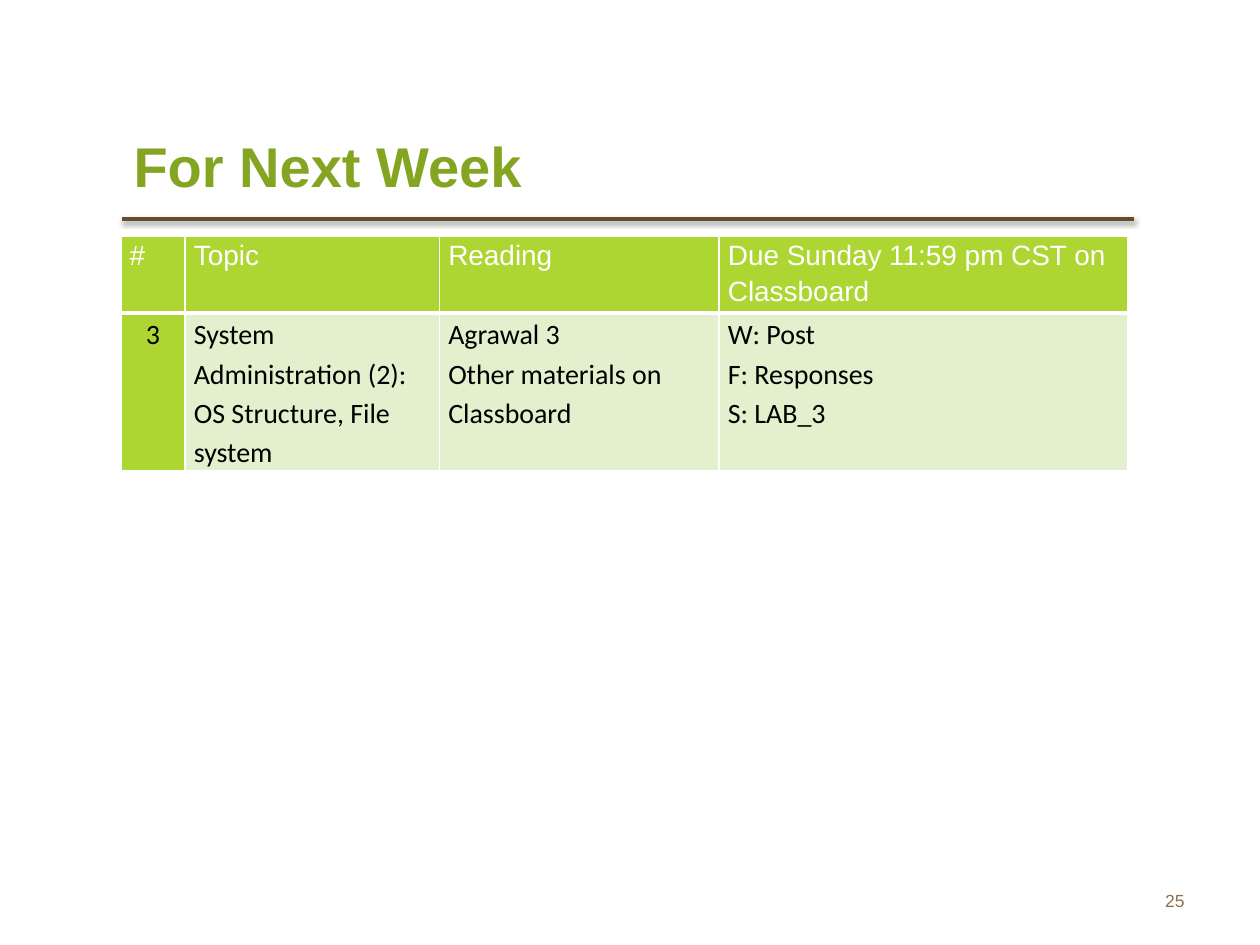
from dataclasses import dataclass

from lxml.etree import SubElement
from pptx import Presentation
from pptx.dml.color import RGBColor
from pptx.enum.shapes import MSO_CONNECTOR
from pptx.enum.text import MSO_ANCHOR as Anchor, PP_ALIGN as Align
from pptx.oxml import parse_xml
from pptx.oxml.ns import nsdecls, qn
from pptx.util import Pt

TITLE_GREEN = RGBColor(0x84, 0xA5, 0x21)
HEADER_GREEN = RGBColor(0xAD, 0xD6, 0x32)
PALE_GREEN = RGBColor(0xE3, 0xF0, 0xCE)
RULE_BROWN = RGBColor(0x63, 0x4D, 0x2A)
NUMBER_BROWN = RGBColor(0x8F, 0x6F, 0x52)
WHITE = RGBColor(0xFF, 0xFF, 0xFF)
BLACK = RGBColor(0, 0, 0)

COLUMN_WIDTHS = (36.7, 145.4, 159.8, 233.3)
ROW_HEIGHTS = (40.6, 90)


@dataclass
class CellSpec:
    text: str
    fill: RGBColor = PALE_GREEN
    color: RGBColor = BLACK
    font: str = "Calibri"
    align: Align = Align.LEFT
    bottom: float = 1


def header(text: str) -> CellSpec:
    return CellSpec(text, HEADER_GREEN, WHITE, "Arial", bottom=3)


ROWS = (
    [header(text) for text in
     ("#", "Topic", "Reading", "Due Sunday 11:59 pm CST on Classboard")],
    [CellSpec("3", HEADER_GREEN, align=Align.CENTER),
     CellSpec("System Administration (2): OS Structure, File system"),
     CellSpec("Agrawal 3\nOther materials on Classboard"),
     CellSpec("W: Post\nF: Responses\nS: LAB_3")],
)


def format_text(p, font: str, size: float, color: RGBColor,
                align: Align = Align.LEFT, bold: bool = False) -> None:
    p.alignment = align
    for r in p.runs:
        r.font.name, r.font.size, r.font.bold = font, Pt(size), bold
        r.font.color.rgb = color


def set_borders(cell, bottom: float) -> None:
    tc_pr = cell._tc.get_or_add_tcPr()
    widths = {"lnL": 1, "lnR": 1, "lnT": 1, "lnB": bottom}
    for i, (tag, width) in enumerate(widths.items()):
        tc_pr.insert(i, parse_xml(
            f'<a:{tag} {nsdecls("a")} w="{Pt(width)}"><a:solidFill>'
            f'<a:srgbClr val="{WHITE}"/></a:solidFill></a:{tag}>'))


def fill_cell(cell, item: CellSpec) -> None:
    cell.fill.solid()
    cell.fill.fore_color.rgb = item.fill
    cell.margin_left = cell.margin_right = Pt(5)
    cell.margin_top = cell.margin_bottom = 0
    cell.text_frame.text = item.text
    for p in cell.text_frame.paragraphs:
        p.line_spacing = 1.15
        format_text(p, item.font, 16, item.color, item.align)
    set_borders(cell, item.bottom)


def add_rule(slide) -> None:
    rule = slide.shapes.add_connector(
        MSO_CONNECTOR.STRAIGHT, Pt(70), Pt(125.2), Pt(648), Pt(125.2))
    rule.line.color.rgb = RULE_BROWN
    rule.line.width = Pt(2)
    # Soft shadow straight below the line
    effects = SubElement(rule._element.spPr, qn("a:effectLst"))
    shadow = SubElement(effects, qn("a:outerShdw"), blurRad=str(Pt(3.1)),
                        dist=str(Pt(1.6)), dir="5400000", rotWithShape="0")
    color = SubElement(shadow, qn("a:srgbClr"), val=str(BLACK))
    SubElement(color, qn("a:alpha"), val="38000")


def main() -> None:
    prs = Presentation()
    prs.slide_width, prs.slide_height = Pt(720), Pt(540)
    slide = prs.slides.add_slide(prs.slide_layouts[5])

    add_rule(slide)

    # Title
    title = slide.shapes.title
    title.left, title.top, title.width, title.height = (
        Pt(69.1), Pt(61.9), Pt(415.4), Pt(64.8))
    tf = title.text_frame
    tf.text = "For Next Week"
    tf.vertical_anchor = Anchor.MIDDLE
    format_text(tf.paragraphs[0], "Arial", 32, TITLE_GREEN, bold=True)

    # Slide number
    number = slide.shapes.add_textbox(Pt(516.2), Pt(500.4), Pt(167.8), Pt(28.8))
    tf = number.text_frame
    tf.word_wrap = True
    tf.text = "25"
    tf.vertical_anchor = Anchor.MIDDLE
    format_text(tf.paragraphs[0], "Arial", 10, NUMBER_BROWN, Align.RIGHT)

    # Schedule table
    table = slide.shapes.add_table(
        len(ROWS), len(COLUMN_WIDTHS), Pt(69.1), Pt(134.8),
        Pt(sum(COLUMN_WIDTHS)), Pt(sum(ROW_HEIGHTS))).table
    table.first_row = table.horz_banding = False
    for column, width in zip(table.columns, COLUMN_WIDTHS):
        column.width = Pt(width)
    for row, height, items in zip(table.rows, ROW_HEIGHTS, ROWS):
        row.height = Pt(height)
        for cell, item in zip(row.cells, items):
            fill_cell(cell, item)

    prs.save("out.pptx")


if __name__ == "__main__":
    main()
